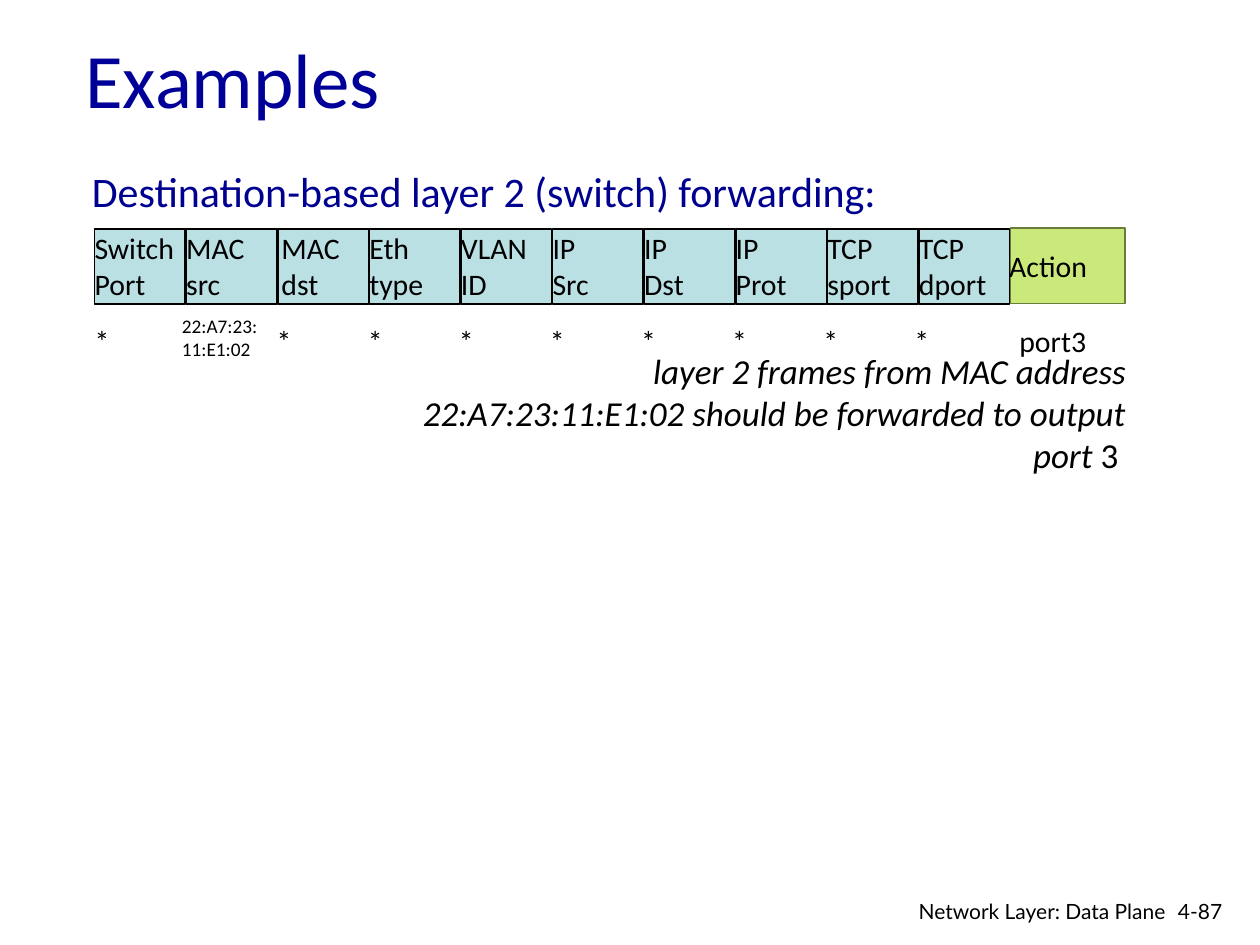
from dataclasses import dataclass

from pptx import Presentation
from pptx.dml.color import RGBColor
from pptx.enum.shapes import MSO_SHAPE
from pptx.enum.text import MSO_ANCHOR, PP_ALIGN
from pptx.util import Inches, Pt

BLACK = "000000"
LEFT = 0.75
FIELD_STEP = 0.73
VALUE_STEP = 0.72
CELL_WIDTH = 0.72


@dataclass
class Field:
    label: str
    value: str = "*"
    indent: float = 0


FIELDS = [
    Field("Switch\nPort"),
    Field("MAC\nsrc", "22:A7:23:\n11:E1:02"),
    Field("MAC\ndst", indent=0.03),
    Field("Eth\ntype"),
    Field("VLAN\nID"),
    Field("IP\nSrc"),
    Field("IP\nDst"),
    Field("IP\nProt"),
    Field("TCP\nsport"),
    Field("TCP\ndport"),
]


def color(value: str) -> RGBColor:
    return RGBColor.from_string(value)


def add_text(slide, text: str, x: float, y: float, w: float, h: float,
             size: float = 17, font: str = "Calibri", fill: str = BLACK,
             align=PP_ALIGN.LEFT, anchor=MSO_ANCHOR.MIDDLE,
             padded: bool = False, wrap: bool = True):
    sp = slide.shapes.add_textbox(Inches(x), Inches(y), Inches(w), Inches(h))
    tf = sp.text_frame
    tf.word_wrap = wrap
    tf.vertical_anchor = anchor
    if not padded:
        tf.margin_left = tf.margin_right = 0
        tf.margin_top = tf.margin_bottom = 0
    tf.text = text
    for p in tf.paragraphs:
        p.alignment = align
        p.font.size = Pt(size)
        p.font.name = font
        for r in p.runs:
            r.font.size = Pt(size)
            r.font.name = font
            r.font.color.rgb = color(fill)
    return sp


def add_box(slide, x: float, y: float, w: float, h: float,
            fill: str, line: str):
    sp = slide.shapes.add_shape(MSO_SHAPE.RECTANGLE, Inches(x), Inches(y),
                                Inches(w), Inches(h))
    sp.shadow.inherit = False
    sp.fill.solid()
    sp.fill.fore_color.rgb = color(fill)
    sp.line.color.rgb = color(line)
    sp.line.width = Pt(1)
    return sp


def add_field(slide, index: int, field: Field) -> None:
    x = LEFT + index * (FIELD_STEP - 0.003)
    add_box(slide, x, 1.82, CELL_WIDTH, 0.59, "BBE0E3", BLACK)
    add_text(slide, field.label, x + field.indent, 1.8,
             CELL_WIDTH - field.indent, 0.62)

    # A full address needs smaller type than a wildcard
    value_x = LEFT + index * (VALUE_STEP + 0.003)
    if field.value == "*":
        add_text(slide, field.value, value_x, 2.53, CELL_WIDTH, 0.35)
    else:
        add_text(slide, field.value, value_x - 0.03, 2.51, CELL_WIDTH, 0.34,
                 size=11)


def main() -> None:
    prs = Presentation()
    prs.slide_width, prs.slide_height = Inches(10), Inches(7.5)
    s = prs.slides.add_slide(prs.slide_layouts[6])

    # Title and heading
    add_text(s, "Examples", 0.58, -0.01, 3.07, 1.25, size=44, fill="000099",
             padded=True)
    add_text(s, "Destination-based layer 2 (switch) forwarding:",
             0.73, 1.31, 6.24, 0.4, size=24, fill="000090", wrap=False)

    # Flow table: match fields, then the action
    for i, field in enumerate(FIELDS):
        add_field(s, i, field)
    add_box(s, 8.02, 1.81, 0.91, 0.6, "CBE97B", "697D3A")
    add_text(s, "Action", 8.01, 1.93, 0.92, 0.35)
    add_text(s, "port3", 8.09, 2.53, CELL_WIDTH, 0.35)

    # Explanation, with only the port number upright
    sp = add_text(s, "layer 2 frames from MAC address 22:A7:23:11:E1:02 "
                  "should be forwarded to output port ",
                  3.08, 2.94, 5.86, 0.67, size=20, align=PP_ALIGN.RIGHT)
    p = sp.text_frame.paragraphs[0]
    p.runs[0].font.italic = True
    r = p.add_run()
    r.text = "3 "
    r.font.size = Pt(20)
    r.font.name = "Calibri"
    r.font.italic = False
    r.font.color.rgb = color(BLACK)

    # Footer
    add_text(s, "4-87", 9.25, 7.08, 0.61, 0.3, size=12, font="Lato",
             anchor=MSO_ANCHOR.TOP, padded=True)
    add_text(s, "Network Layer: Data Plane", 6.97, 7.08, 2.38, 0.26, size=12,
             font="Lato", align=PP_ALIGN.RIGHT, anchor=MSO_ANCHOR.TOP,
             padded=True)

    prs.save("out.pptx")


if __name__ == "__main__":
    main()
